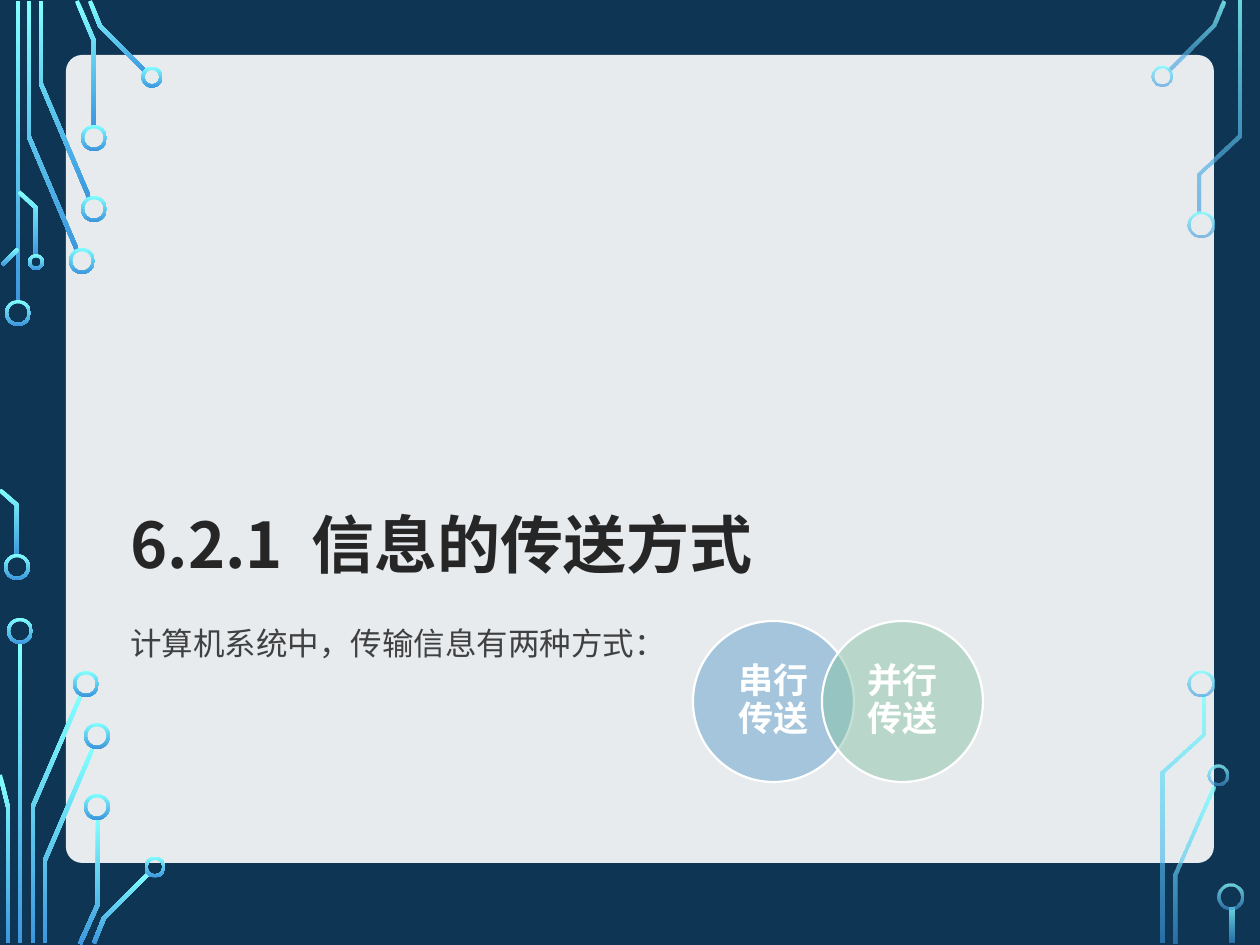
from math import hypot
from lxml.etree import SubElement
from pptx import Presentation
from pptx.dml.color import RGBColor
from pptx.enum.shapes import MSO_SHAPE
from pptx.enum.text import MSO_ANCHOR, PP_ALIGN
from pptx.oxml.ns import qn
from pptx.util import Emu, Pt

NAVY = RGBColor(0x0E, 0x35, 0x54)
WHITE = RGBColor(0xFF, 0xFF, 0xFF)
AQUA = RGBColor(0x82, 0xFF, 0xFF)
AZURE = RGBColor(0x3D, 0x97, 0xDE)
BLUE = RGBColor(0x63, 0xA0, 0xCC)
GREEN = RGBColor(0x8A, 0xC4, 0xA7)
TITLE_COLOR = RGBColor(0x26, 0x26, 0x26)
BODY_COLOR = RGBColor(0x40, 0x40, 0x40)
FONT = "Noto Sans CJK SC"

TITLE = ("6.2.1", " ", "信息的传送方式")
GAP_SPACING = 800
BODY = "计算机系统中，传输信息有两种方式："
MODES = [("串行传送", BLUE), ("并行传送", GREEN)]
MODE_LEFT, MODE_TOP, MODE_SIZE, MODE_STEP = 693, 621, 161, 129

TRACE_WIDTH = 4
RING_WIDTH = 3
CIRCUITS = [
    {
        "alphas": (100, 100),
        "traces": [
            [(18, 1), (18, 302)],
            [(77, 250), (29, 137), (29, 1)],
            [(89, 197), (41, 84), (41, 1)],
            [(94, 126), (94, 41), (77, 1)],
            [(146, 72), (100, 26), (90, 1)],
            [(2, 265), (18, 249)],
            [(17, 556), (17, 505), (0, 490)],
            [(36, 256), (36, 208), (19, 192)],
            [(20, 643), (20, 943)],
            [(33, 943), (33, 806), (81, 695)],
            [(8, 943), (8, 807), (0, 775)],
            [(45, 943), (45, 860), (93, 748)],
            [(80, 944), (98, 904), (98, 819)],
            [(94, 943), (104, 918), (149, 873)],
        ],
        "rings": [
            (18, 313, 26), (17, 567, 26), (82, 261, 26), (94, 209, 26),
            (94, 138, 26), (152, 77, 21), (36, 262, 16), (20, 631, 26),
            (86, 684, 26), (97, 736, 26), (97, 807, 26), (155, 867, 21),
        ],
    },
    {
        "alphas": (80, 60),
        "traces": [
            [(1169, 70), (1214, 25), (1224, 1)],
            [(1176, 943), (1176, 874), (1214, 786)],
            [(1200, 213), (1200, 174), (1239, 136), (1239, 1)],
            [(1163, 943), (1163, 773), (1203, 735), (1203, 695)],
            [(1232, 908), (1232, 943)],
        ],
        "rings": [
            (1162, 76, 21), (1201, 225, 26), (1218, 775, 21),
            (1201, 684, 26), (1231, 897, 26),
        ],
    },
]


def px(value):
    return Emu(round(value * 914400 / 126))


def set_alpha(color_parent, percent):
    if percent < 100:
        color = next(color_parent.iter(qn("a:srgbClr")))
        SubElement(color, qn("a:alpha"), val=str(percent * 1000))


def add_preset(slide, kind, left, top, width, height):
    shape = slide.shapes.add_shape(kind, px(left), px(top), px(width), px(height))
    shape.shadow.inherit = False
    shape.line.fill.background()
    return shape


def fill_solid(shape, color, alpha):
    shape.fill.solid()
    shape.fill.fore_color.rgb = color
    set_alpha(shape.fill._xPr.find(qn("a:solidFill")), alpha)


def fill_gradient(shape, alphas):
    shape.fill.gradient()
    shape.fill.gradient_angle = 270
    for stop, color, alpha in zip(shape.fill.gradient_stops, (AQUA, AZURE), alphas):
        stop.color.rgb = color
        set_alpha(stop._gs, alpha)


def ribbon(points):
    normals = []
    for (x1, y1), (x2, y2) in zip(points, points[1:]):
        length = hypot(x2 - x1, y2 - y1)
        normals.append(((y1 - y2) / length, (x2 - x1) / length))
    sides = [[], []]
    for (x, y), before, after in zip(points, normals[:1] + normals, normals + normals[-1:]):
        scale = TRACE_WIDTH / 2 / (1 + before[0] * after[0] + before[1] * after[1])
        dx, dy = (before[0] + after[0]) * scale, (before[1] + after[1]) * scale
        sides[0].append((px(x + dx), px(y + dy)))
        sides[1].append((px(x - dx), px(y - dy)))
    return sides[0] + sides[1][::-1]


def add_trace(slide, points, alphas):
    outline = ribbon(points)
    builder = slide.shapes.build_freeform(*outline[0])
    builder.add_line_segments(outline[1:], close=True)
    shape = builder.convert_to_shape()
    shape.shadow.inherit = False
    shape.line.fill.background()
    fill_gradient(shape, alphas)


def add_ring(slide, x, y, size, alphas):
    ring = add_preset(slide, MSO_SHAPE.DONUT, x - size / 2, y - size / 2, size, size)
    ring.adjustments[0] = RING_WIDTH / size
    fill_gradient(ring, alphas)


def add_run(paragraph, text, size, color, bold=False):
    run = paragraph.add_run()
    run.text = text
    run.font.size = Pt(size)
    run.font.bold = bold
    run.font.color.rgb = color
    run.font.name = FONT
    SubElement(run.font._element, qn("a:ea"), typeface=FONT)
    return run


def add_text(slide, left, top, width, height, anchor, line_spacing):
    box = slide.shapes.add_textbox(px(left), px(top), px(width), px(height))
    box.text_frame.word_wrap = True
    box.text_frame.vertical_anchor = anchor
    paragraph = box.text_frame.paragraphs[0]
    paragraph.line_spacing = line_spacing
    return paragraph


def add_mode(slide, index, text, color):
    circle = add_preset(slide, MSO_SHAPE.OVAL, MODE_LEFT + index * MODE_STEP,
                        MODE_TOP, MODE_SIZE, MODE_SIZE)
    fill_solid(circle, color, 50)
    circle.line.color.rgb = WHITE
    circle.line.width = Pt(1.25)
    frame = circle.text_frame
    frame.word_wrap = True
    frame.vertical_anchor = MSO_ANCHOR.MIDDLE
    frame.margin_left = frame.margin_right = px(9)
    frame.margin_top = frame.margin_bottom = px(4)
    paragraph = frame.paragraphs[0]
    paragraph.alignment = PP_ALIGN.CENTER
    paragraph.line_spacing = 0.9
    add_run(paragraph, text, 20, WHITE, True)


def main():
    presentation = Presentation()
    presentation.slide_width, presentation.slide_height = px(1260), px(945)
    slide = presentation.slides.add_slide(presentation.slide_layouts[6])
    slide.background.fill.solid()
    slide.background.fill.fore_color.rgb = NAVY

    panel = add_preset(slide, MSO_SHAPE.ROUNDED_RECTANGLE, 66, 55, 1148, 808)
    panel.adjustments[0] = 0.02
    fill_solid(panel, WHITE, 90)

    for circuit in CIRCUITS:
        for points in circuit["traces"]:
            add_trace(slide, points, circuit["alphas"])
        for x, y, size in circuit["rings"]:
            add_ring(slide, x, y, size, circuit["alphas"])

    title = add_text(slide, 118, 195, 1023, 393, MSO_ANCHOR.BOTTOM, 0.9)
    number, gap, name = [add_run(title, text, 36, TITLE_COLOR, True) for text in TITLE]
    gap.font._element.set("spc", str(GAP_SPACING))
    body = add_text(slide, 118, 610, 1023, 189, MSO_ANCHOR.TOP, 1.2)
    add_run(body, BODY, 18, BODY_COLOR)

    for index, (text, color) in enumerate(MODES):
        add_mode(slide, index, text, color)

    presentation.save("out.pptx")


if __name__ == "__main__":
    main()
